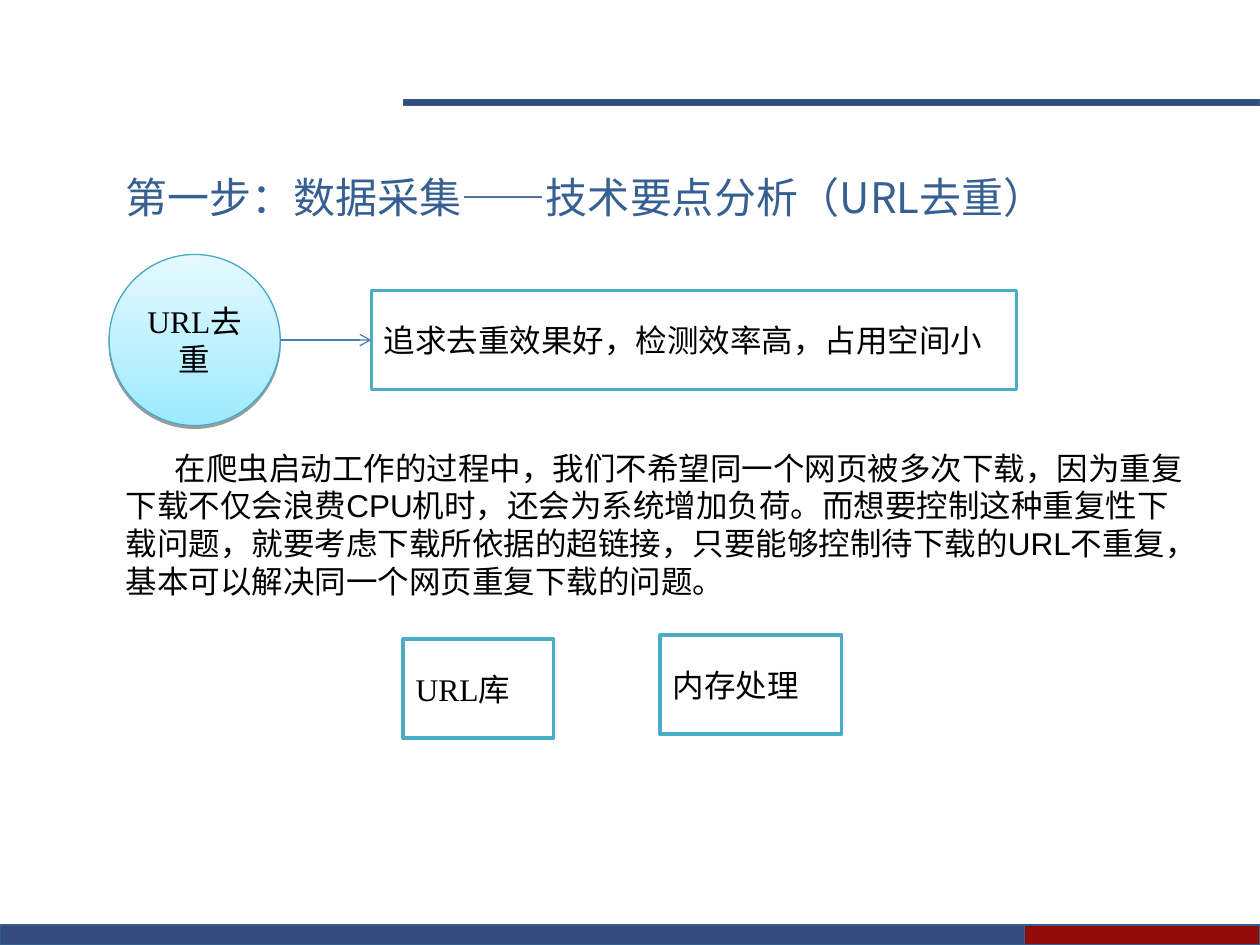
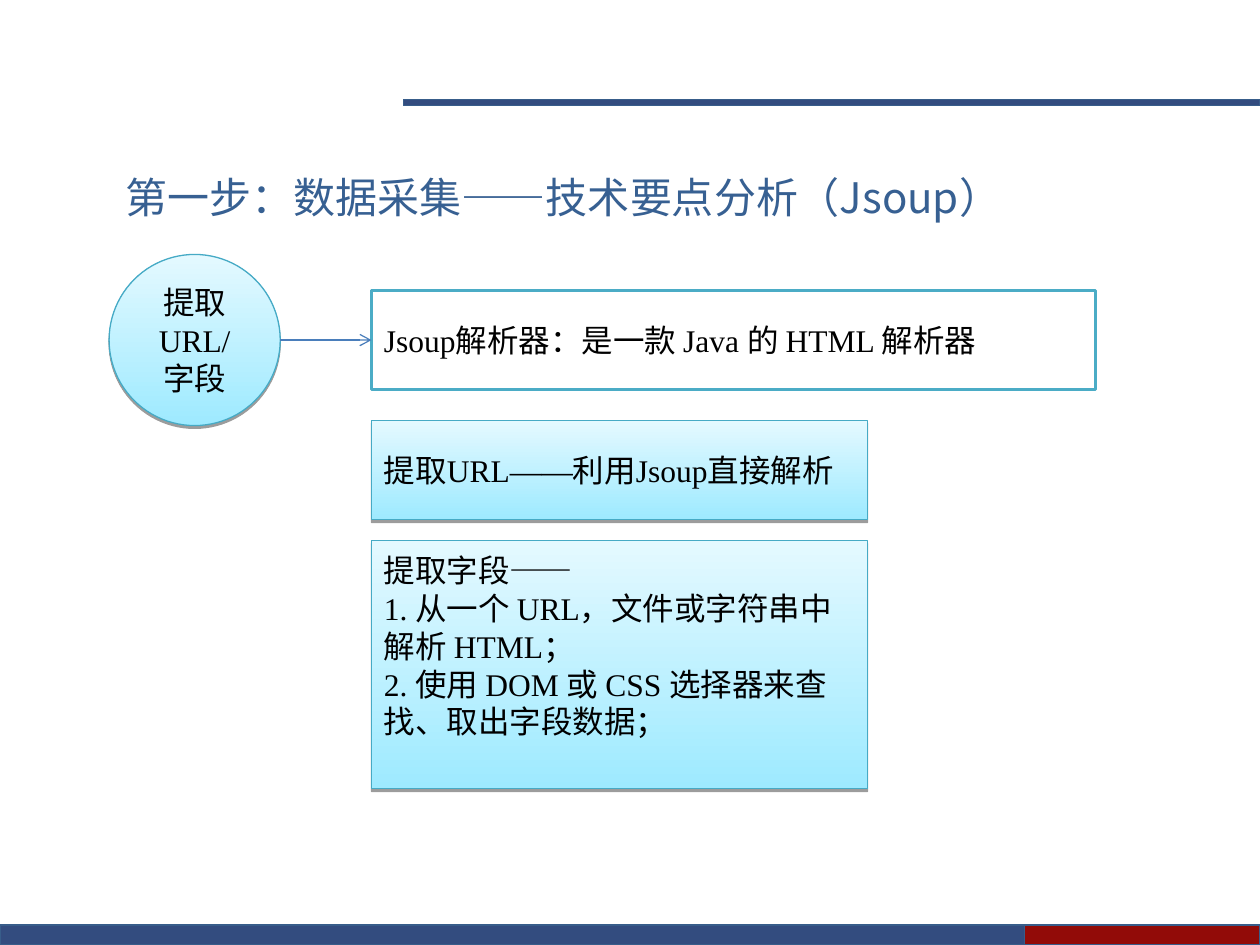
from dataclasses import dataclass

from lxml.etree import SubElement
from pptx import Presentation
from pptx.dml.color import RGBColor
from pptx.enum.shapes import MSO_CONNECTOR as Link, MSO_SHAPE as Preset
from pptx.enum.text import MSO_ANCHOR as Anchor, PP_ALIGN as Align
from pptx.oxml.ns import qn
from pptx.util import Cm, Pt


@dataclass(frozen=True)
class Theme:
    navy: str = "002060"
    red: str = "920B08"
    band_line: str = "385D8A"
    title: str = "376092"
    ink: str = "000000"
    white: str = "FFFFFF"
    frame: str = "4BACC6"
    glow_line: str = "46AAC5"
    glow_bottom: str = "9EEAFF"
    glow_top: str = "E4F9FF"
    arrow: str = "4A7EBB"
    title_size: int = 24
    text_size: int = 18
    chinese: str = "Noto Sans CJK SC"
    serif: str = "Times New Roman"
    sans: str = "Arial"


THEME = Theme()
WIDTH, HEIGHT = 25.4, 19.05
TEXT_LEFT = 2.29
CIRCLE_LEFT, CIRCLE_TOP, CIRCLE_SIZE = 2.2, 5.13, 3.45
BOX_LEFT, BOX_HEIGHT = 7.49, 2.0
CLAIM_TOP = CIRCLE_TOP + (CIRCLE_SIZE - BOX_HEIGHT) / 2


def rgb(code):
    return RGBColor.from_string(code)


# Text
def write(frame, lines, font=THEME.serif, size=THEME.text_size,
          color=THEME.ink, align=Align.LEFT):
    frame.word_wrap = True
    frame.text = "\n".join(lines)
    for para in frame.paragraphs:
        para.alignment = align
        for span in para.runs:
            span.font.size = Pt(size)
            span.font.color.rgb = rgb(color)
            span.font.name = font
            east_asian = SubElement(span.font._element, qn("a:ea"))
            east_asian.set("typeface", THEME.chinese)


def add_text(page, top, width, height, text, **style):
    box = page.shapes.add_textbox(Cm(TEXT_LEFT), Cm(top), Cm(width), Cm(height))
    write(box.text_frame, [text], **style)
    return box


# Shapes
def add_shape(page, preset, left, top, width, height, line, line_width):
    shape = page.shapes.add_shape(preset, Cm(left), Cm(top), Cm(width), Cm(height))
    shape.line.color.rgb = rgb(line)
    shape.line.width = Pt(line_width)
    shape.shadow.inherit = False
    shape.text_frame.vertical_anchor = Anchor.MIDDLE
    return shape


def add_band(page, left, top, width, height, color, opacity=100):
    band = add_shape(page, Preset.RECTANGLE, left, top, width, height,
                     THEME.band_line, 0)
    band.fill.solid()
    band.fill.fore_color.rgb = rgb(color)
    if opacity < 100:
        tint = band._element.spPr.find(qn("a:solidFill"))[0]
        SubElement(tint, qn("a:alpha")).set("val", str(opacity * 1000))


def add_framed_box(page, left, top, width, text):
    box = add_shape(page, Preset.RECTANGLE, left, top, width, BOX_HEIGHT,
                    THEME.frame, 2)
    box.fill.solid()
    box.fill.fore_color.rgb = rgb(THEME.white)
    write(box.text_frame, [text])
    return box


def add_glow_shape(page, preset, left, top, width, height, lines, align=Align.LEFT):
    shape = add_shape(page, preset, left, top, width, height, THEME.glow_line, 0.75)
    shape.fill.gradient()
    shape.fill.gradient_angle = 90
    for stop, color in zip(shape.fill.gradient_stops,
                           (THEME.glow_bottom, THEME.glow_top)):
        stop.color.rgb = rgb(color)
    effects = shape._element.spPr.find(qn("a:effectLst"))
    shadow = SubElement(effects, qn("a:outerShdw"), blurRad="0",
                        dist=str(Pt(1.6)), dir="5400000", rotWithShape="0")
    black = SubElement(shadow, qn("a:srgbClr"), val=THEME.ink)
    SubElement(black, qn("a:alpha"), val="38000")
    write(shape.text_frame, lines, align=align)
    return shape


def add_arrow(page, start, target):
    middle = start.top + start.height // 2
    arrow = page.shapes.add_connector(Link.STRAIGHT, start.left + start.width,
                                      middle, target.left, middle)
    arrow.end_connect(target, 1)
    arrow.line.color.rgb = rgb(THEME.arrow)
    arrow.line.width = Pt(0.75)
    properties = arrow._element.spPr
    SubElement(properties.find(qn("a:ln")), qn("a:tailEnd"), type="arrow")
    SubElement(properties, qn("a:effectLst"))


# Shared page: bands, title, and a topic circle pointing to its main claim
def add_page(deck, topic, circle_lines, claim, claim_width):
    page = deck.slides.add_slide(deck.slide_layouts[6])
    add_band(page, 8.13, 2.0, WIDTH - 8.13, 0.13, THEME.navy, 80)
    add_band(page, 0, 18.65, WIDTH, HEIGHT - 18.65, THEME.navy, 80)
    add_band(page, 20.65, 18.65, WIDTH - 20.65, HEIGHT - 18.65, THEME.red)
    add_text(page, 3.33, 20.22, 1.28, f"第一步：数据采集——技术要点分析（{topic}）",
             font=THEME.chinese, size=THEME.title_size, color=THEME.title)
    circle = add_glow_shape(page, Preset.OVAL, CIRCLE_LEFT, CIRCLE_TOP,
                            CIRCLE_SIZE, CIRCLE_SIZE, circle_lines, Align.CENTER)
    claim_box = add_framed_box(page, BOX_LEFT, CLAIM_TOP, claim_width, claim)
    add_arrow(page, circle, claim_box)
    return page


def add_dedup_page(deck):
    page = add_page(deck, "URL去重", ["URL去重"],
                    "追求去重效果好，检测效率高，占用空间小", 13.0)
    reason = add_text(
        page, 8.92, 22.0, 3.6,
        "在爬虫启动工作的过程中，我们不希望同一个网页被多次下载，因为重复下载不仅会浪费"
        "CPU机时，还会为系统增加负荷。而想要控制这种重复性下载问题，就要考虑下载所依据的"
        "超链接，只要能够控制待下载的URL不重复，基本可以解决同一个网页重复下载的问题。",
        font=THEME.sans)
    first_line = reason.text_frame.paragraphs[0]._p.get_or_add_pPr()
    first_line.set("indent", str(Cm(0.98)))
    add_framed_box(page, 8.13, 12.88, 3.03, "URL库")
    add_framed_box(page, 13.31, 12.8, 3.66, "内存处理")


def add_jsoup_page(deck):
    page = add_page(deck, "Jsoup", ["提取", "URL/字段"],
                    "Jsoup解析器：是一款 Java 的 HTML 解析器", 14.6)
    add_glow_shape(page, Preset.RECTANGLE, BOX_LEFT, 8.48, 10.0, BOX_HEIGHT,
                   ["提取URL——利用Jsoup直接解析"])
    fields = add_glow_shape(page, Preset.RECTANGLE, BOX_LEFT, 10.9, 10.0, 5.0, [
        "提取字段——",
        "1. 从一个 URL，文件或字符串中解析 HTML；",
        "2. 使用 DOM 或 CSS 选择器来查找、取出字段数据；",
    ])
    fields.text_frame.margin_bottom = Cm(0.89)


def main():
    deck = Presentation()
    deck.slide_width, deck.slide_height = Cm(WIDTH), Cm(HEIGHT)
    add_dedup_page(deck)
    add_jsoup_page(deck)
    deck.save("out.pptx")


if __name__ == "__main__":
    main()
